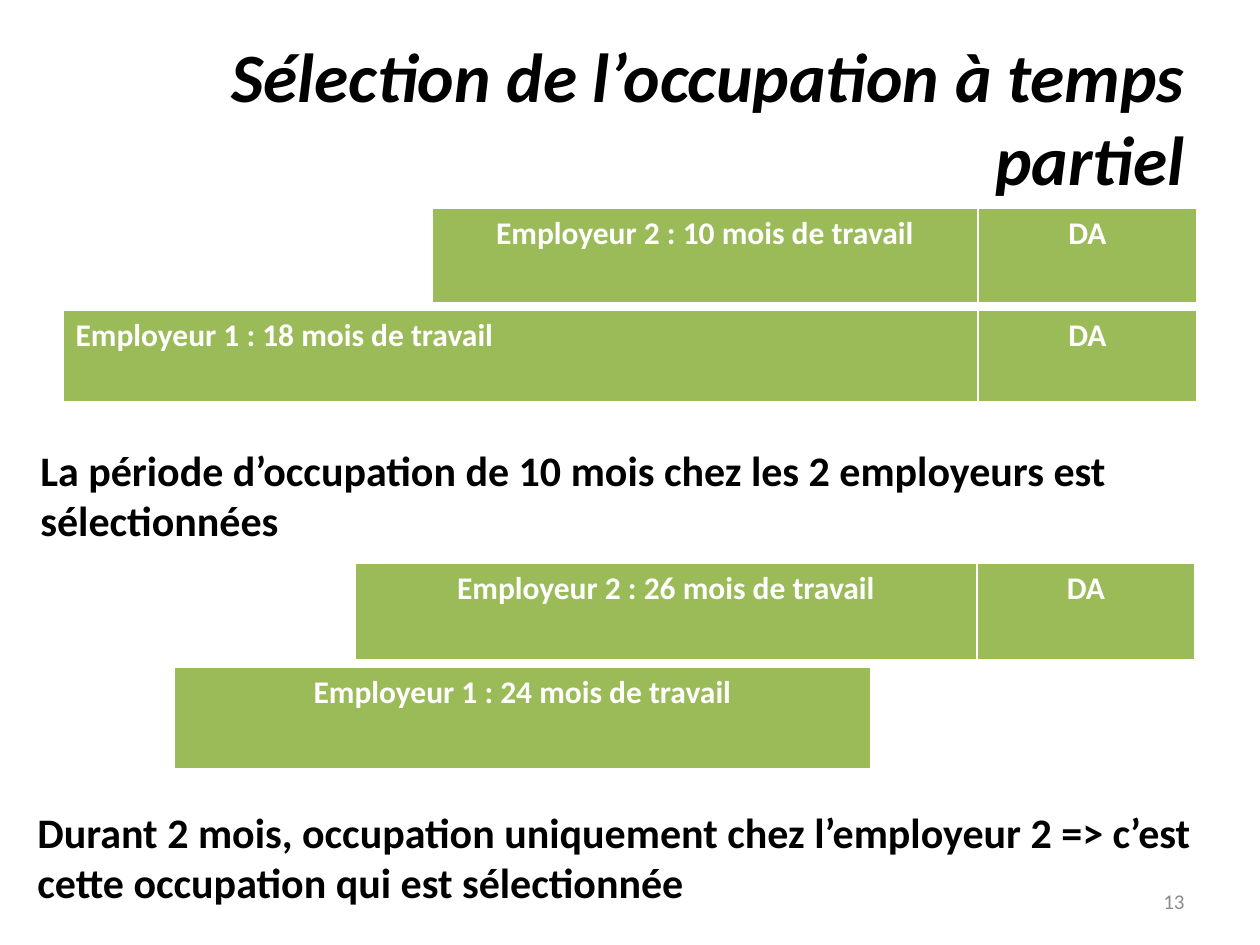
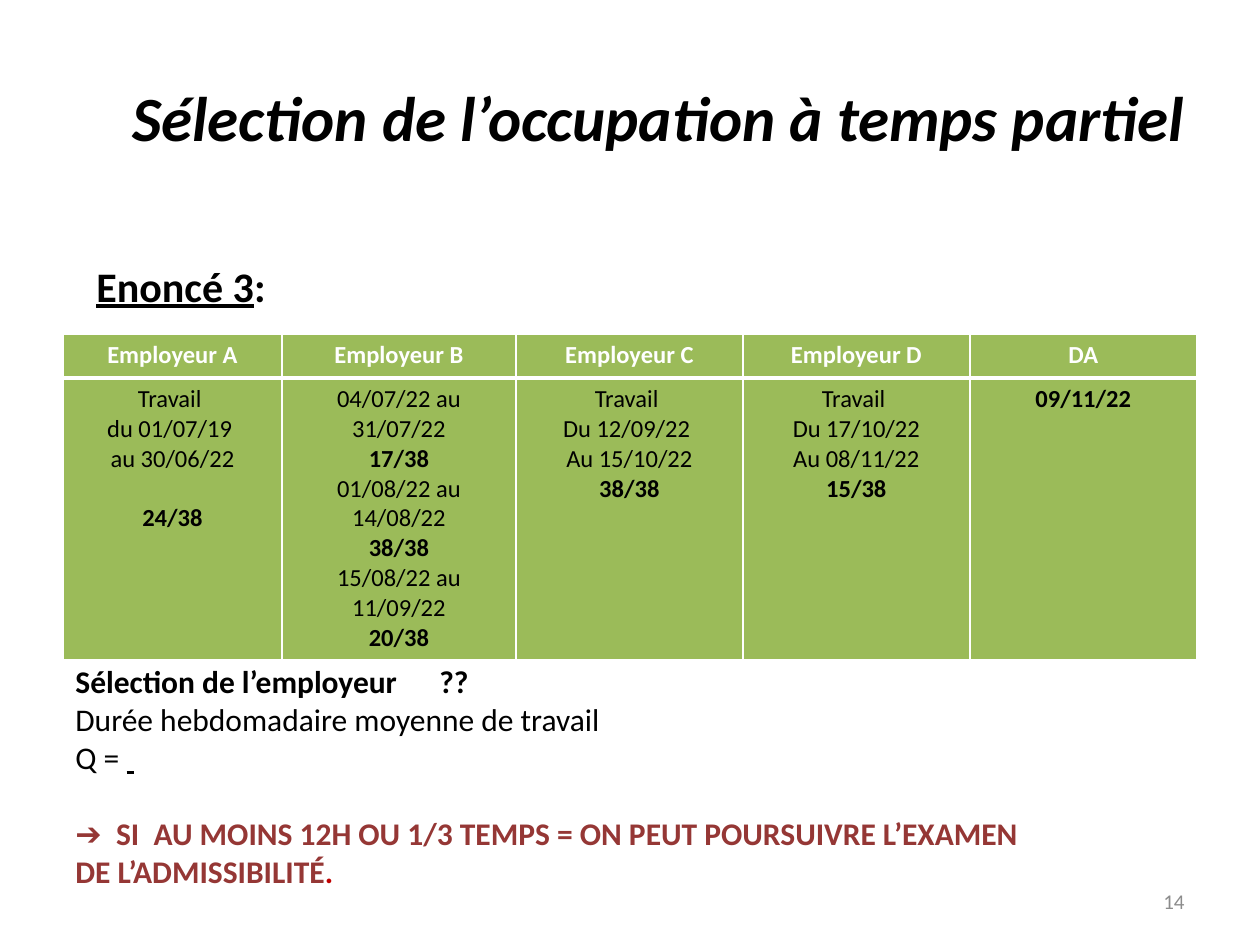
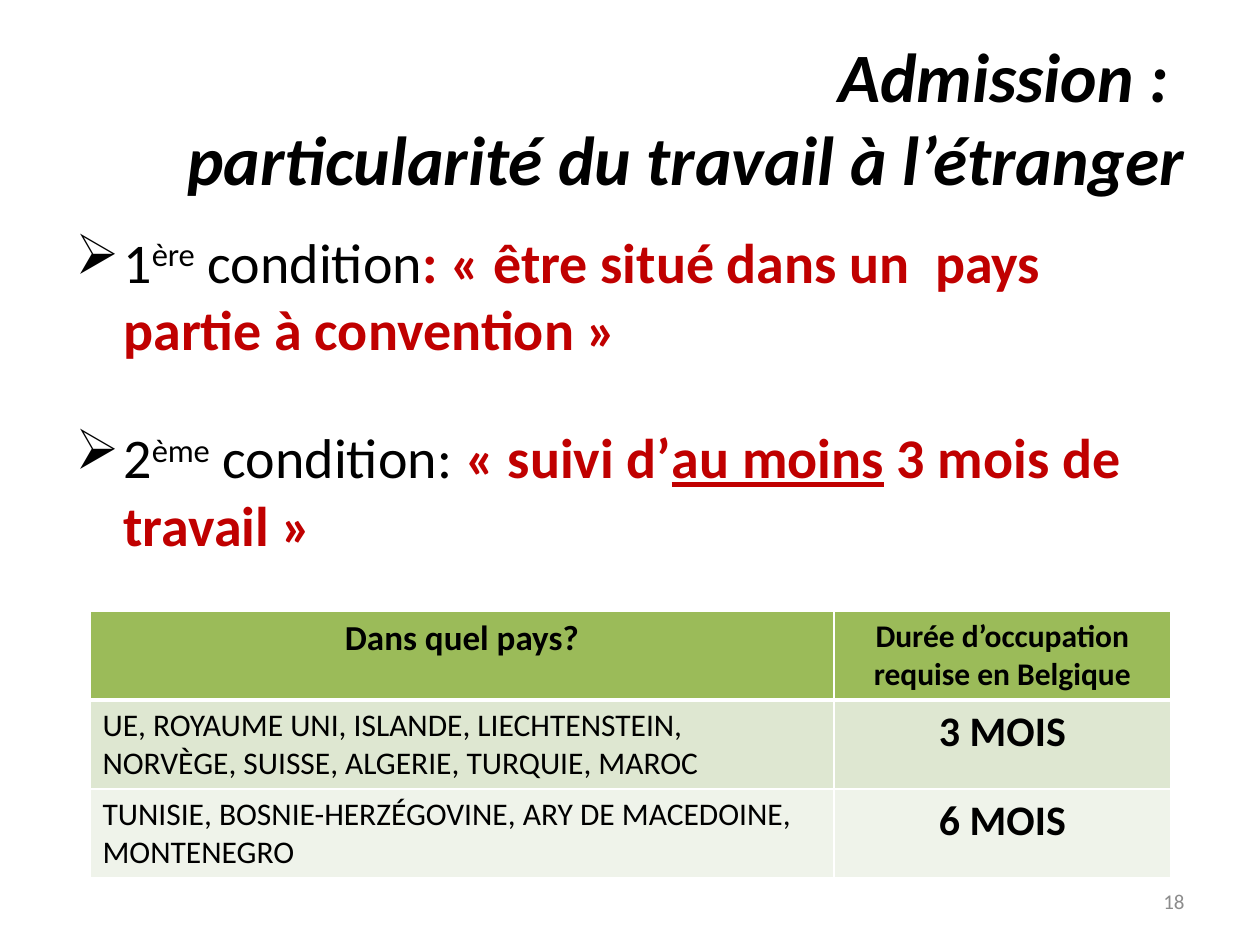
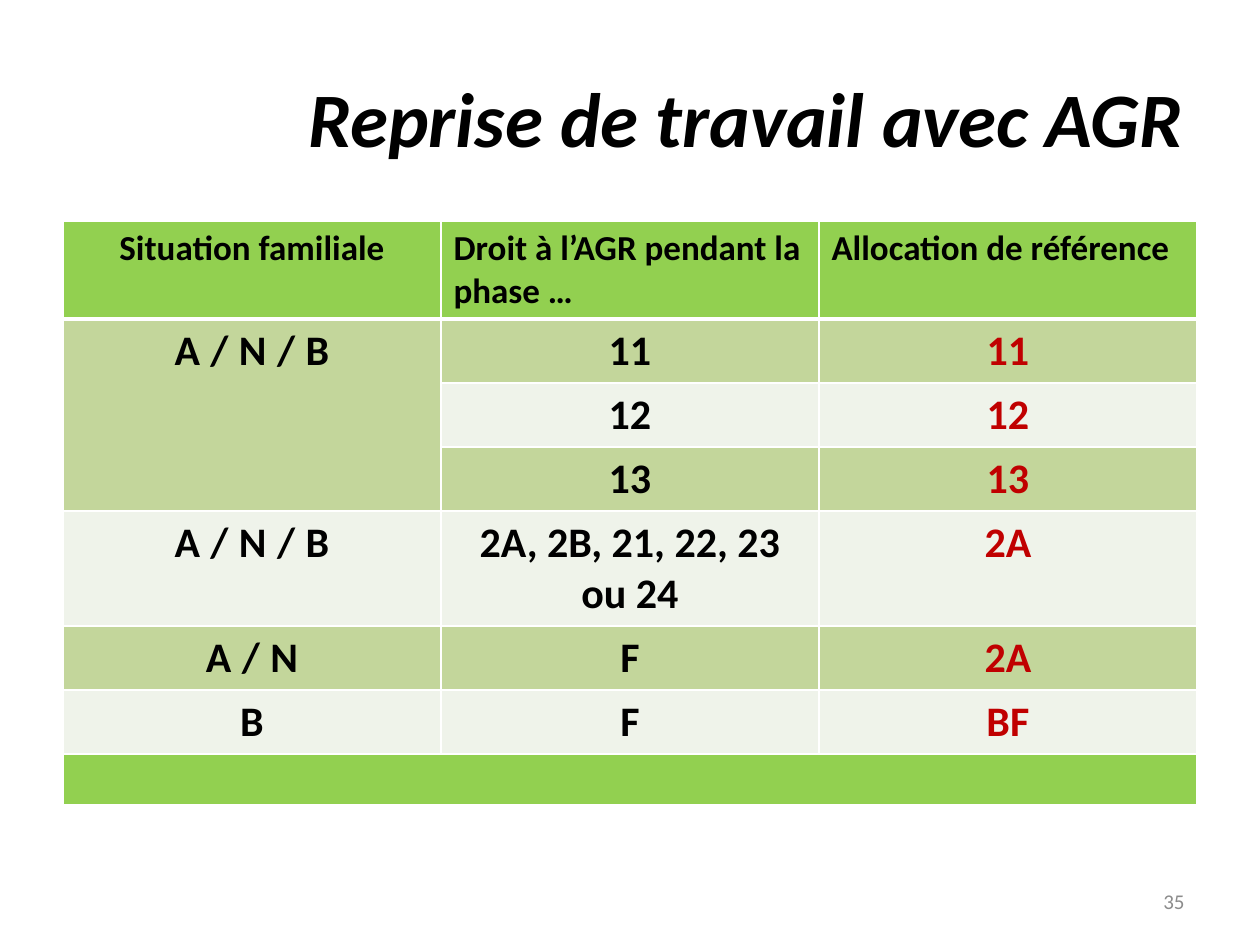
from pptx import Presentation
from pptx.dml.color import RGBColor
from pptx.enum.text import MSO_ANCHOR, PP_ALIGN
from pptx.oxml import parse_xml
from pptx.oxml.ns import nsdecls
from pptx.util import Inches, Pt

PX = 7257  # EMU in one px, 126 px to the inch
LEFT, MID, RIGHT = PP_ALIGN.LEFT, PP_ALIGN.CENTER, PP_ALIGN.RIGHT
TOP, CENTRE = MSO_ANCHOR.TOP, MSO_ANCHOR.MIDDLE
hue = RGBColor.from_string

FONT = "Calibri"
BLACK, WHITE, GREY = "000000", "FFFFFF", "8C8C8C"
RED, BRICK = "C00000", "953735"
GREEN, LIME, PALE = "9BBB59", "92D050", "EFF3EA"
SAGE, MIST = "C3D69B", "DEE7D1"

TITLE = (63, 38, 1134, 157)
NUMBER = (903, 876, 294, 50)
BULLET = "<a:buChar %s char='➢'/>" % nsdecls("a")
TAB = "<a:tabLst %s><a:tab pos='%d' algn='l'/></a:tabLst>" % (nsdecls("a"), 364 * PX)


def write(frame, paras, size=18, color=BLACK, bold=True, italic=False,
          align=LEFT, mark=None, hang=0, gap=0):
    """Each paragraph is a string or a list of runs; gap precedes the last one."""
    paras = [paras] if isinstance(paras, str) else paras
    for i, runs in enumerate(paras):
        para = frame.paragraphs[0] if i == 0 else frame.add_paragraph()
        para.alignment = align
        if gap and i == len(paras) - 1:
            para.space_before = Pt(gap)
        props = para._p.get_or_add_pPr()
        if hang:
            props.set("marL", str(hang * PX))
            props.set("indent", str(-hang * PX))
        if mark:
            props.append(parse_xml(mark))
        font = para.font
        font.name, font.size, font.bold, font.italic = FONT, Pt(size), bold, italic
        font.color.rgb = hue(color)
        for part in [runs] if isinstance(runs, str) else runs:
            if part == "\n":
                para.add_line_break()
                continue
            text, look = (part, {}) if isinstance(part, str) else part
            run = para.add_run()
            run.text = text
            for key, val in look.items():
                if key == "color":
                    run.font.color.rgb = hue(val)
                elif key in ("bold", "underline"):
                    setattr(run.font, key, val)
                else:
                    run._r.get_or_add_rPr().set(key, val)


def grid(slide, left, top, cols, rows, fills, cells):
    """Each cell is its paragraphs and a dict of settings for write."""
    table = slide.shapes.add_table(
        len(rows), len(cols), left * PX, top * PX,
        sum(cols) * PX, sum(rows) * PX).table
    table.first_row = table.horz_banding = False
    for col, width in zip(table.columns, cols):
        col.width = width * PX
    for r, height in enumerate(rows):
        table.rows[r].height = height * PX
        for c in range(len(cols)):
            cell = table.cell(r, c)
            cell.fill.solid()
            cell.fill.fore_color.rgb = hue(fills[r])
            for i, side in enumerate("LRTB"):
                wide = Pt(3 if r == 0 and side == "B" else 1)
                cell._tc.get_or_add_tcPr().insert(i, parse_xml(
                    "<a:ln%s %s w='%d'><a:solidFill><a:srgbClr val='%s'/>"
                    "</a:solidFill></a:ln%s>" % (side, nsdecls("a"), wide, WHITE, side)))
            paras, look = cells[r][c]
            if paras:
                write(cell.text_frame, paras, **look)
    return table


deck = Presentation()
deck.slide_width, deck.slide_height = Inches(10), Inches(7.5)

# Titles, page numbers and free texts
red = dict(color=RED, bold=True)
part_time = "Sélection de l’occupation à temps partiel"
pages = [
    (part_time, 39.6, "13", [
        ((28, 438, 1191, 115),
         "La période d’occupation de 10 mois chez les 2 employeurs est sélectionnées",
         dict(size=24)),
        ((25, 800, 1191, 115),
         "Durant 2 mois, occupation uniquement chez l’employeur 2 => "
         "c’est cette occupation qui est sélectionnée", dict(size=24)),
    ]),
    (part_time, 36, "14", [
        ((63, 656, 994, 280), [
            [("Sélection de l’employeur\t??", dict(bold=True))],
            "Durée hebdomadaire moyenne de travail",
            ["Q = ", (" ", dict(underline=True))],
            [("➔  SI  AU MOINS 12H OU 1/3 TEMPS = ON PEUT POURSUIVRE L’EXAMEN "
              "DE L’ADMISSIBILITÉ", dict(color=BRICK, bold=True)), (".", red)],
        ], dict(bold=False, mark=TAB, gap=22)),
        ((84, 254, 307, 63), [[("Enoncé 3", dict(underline=True)), ":"]],
         dict(size=24)),
    ]),
    ([["Admission : ", "\n", "particularité du travail à l’étranger"]], 39.6, "18", [
        ((63, 221, 1134, 687), [
            ["1", ("ère", dict(baseline="30000")), " condition",
             (": «\u00a0être situé dans un  pays partie à convention\u00a0»", red)],
            ["2", ("ème", dict(baseline="30000")), " condition: ",
             ("«\u00a0suivi d’", red), ("au moins", dict(red, underline=True)),
             (" 3 mois de travail\u00a0»", red)],
        ], dict(size=32, bold=False, mark=BULLET, hang=48, gap=35)),
    ]),
    ("Reprise de travail avec AGR", 44, "35", []),
]
slides = []
for title, size, number, notes in pages:
    slide = deck.slides.add_slide(deck.slide_layouts[6])
    slides.append(slide)
    head = (TITLE, title, dict(size=size, italic=True, align=RIGHT))
    foot = (NUMBER, number, dict(size=12, color=GREY, bold=False, align=RIGHT))
    for box, paras, look in [head, foot] + notes:
        frame = slide.shapes.add_textbox(*[v * PX for v in box]).text_frame
        frame.word_wrap = True
        frame.vertical_anchor = CENTRE if box in (TITLE, NUMBER) else TOP
        write(frame, paras, **look)

# Slide 1: work periods as bars
bars = [
    (432, 208, [546, 219], 96, "Employeur 2 : 10 mois de travail", MID),
    (63, 310, [915, 219], 93, "Employeur 1 : 18 mois de travail", LEFT),
    (355, 563, [622, 218], 98, "Employeur 2 : 26 mois de travail", MID),
    (174, 667, [697], 103, "Employeur 1 : 24 mois de travail", MID),
]
for left, top, cols, height, text, align in bars:
    cells = [(text, dict(color=WHITE, align=align)),
             ("DA", dict(color=WHITE, align=MID))]
    grid(slides[0], left, top, cols, [height], [GREEN], [cells])

# Slide 2: jobs by employer, with the hours fraction in bold
bold = dict(bold=True)
jobs = [
    ["Travail ", "du 01/07/19 ", "au 30/06/22", [("24/38", bold)]],
    ["04/07/22 au 31/07/22", [("17/38", bold)],
     "01/08/22 au 14/08/22", [("38/38", bold)],
     "15/08/22 au 11/09/22", [("20/38", bold)]],
    ["Travail ", "Du 12/09/22 ", "Au 15/10/22", [("38/38", bold)]],
    ["Travail ", "Du 17/10/22", "Au 08/11/22", [("15/38", bold)]],
    [[("09/11/22", bold)]],
]
names = ["Employeur A", "Employeur B", "Employeur C", "Employeur D", "DA"]
heads = [(name, dict(size=14, color=WHITE, align=MID)) for name in names]
body = [(job, dict(size=14, bold=False, align=MID, gap=0 if i else 17))
        for i, job in enumerate(jobs)]
grid(slides[1], 63, 334, [219, 234, 227, 227, 227], [44, 282],
     [GREEN, GREEN], [heads, body])

# Slide 3: work period required by country
lands = [
    ("UE, ROYAUME UNI, ISLANDE, LIECHTENSTEIN, NORVÈGE, SUISSE, ALGERIE, "
     "TURQUIE, MAROC", "3 MOIS"),
    ("TUNISIE, BOSNIE-HERZÉGOVINE, ARY DE MACEDOINE, MONTENEGRO", "6 MOIS"),
]
cells = [[("Dans quel pays?", dict(size=20, align=MID)),
          ("Durée d’occupation requise en Belgique", dict(align=MID))]]
for land, time in lands:
    cells.append([(land, dict(bold=False)), (time, dict(size=24, align=MID))])
grid(slides[2], 90, 611, [744, 337], [89] * 3, [GREEN, MIST, PALE], cells)

# Slide 4: reference benefit by family status and phase
cases = [
    ("A/N/B", "11", "11"),
    ("", "12", "12"),
    ("", "13", "13"),
    ("A/N/B", "2A, 2B, 21, 22, 23 ou 24", "2A"),
    ("A/N", "F", "2A"),
    ("B", "F", "BF"),
]
cells = [[("Situation familiale", dict(size=20, align=MID)),
          ("Droit à l’AGR pendant la phase …", dict(size=20)),
          ("Allocation de référence", dict(size=20))]]
big = dict(size=24, align=MID)
for home, phase, base in cases:
    wide = [[(home, dict(spc="600"))]] if "/" in home else home
    cells.append([(wide, big), (phase, big), (base, dict(big, color=RED))])
cells.append([("", {})] * 3)
table = grid(slides[3], 63, 221, [378] * 3, [98, 64, 64, 64, 115, 64, 64, 50],
             [LIME] + [SAGE, PALE] * 3 + [LIME], cells)
table.cell(1, 0).merge(table.cell(3, 0))
table.cell(7, 0).merge(table.cell(7, 2))

deck.save("out.pptx")
